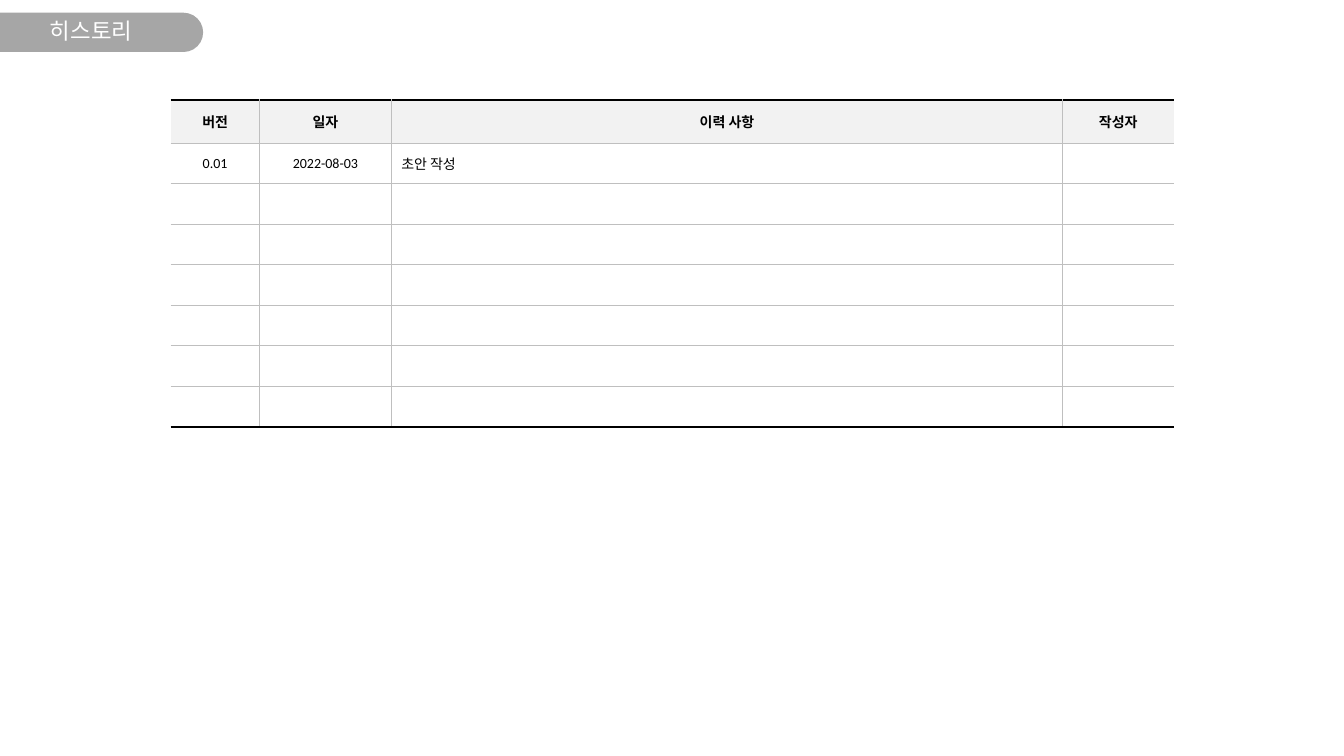
from lxml import etree
from pptx import Presentation
from pptx.dml.color import RGBColor
from pptx.enum.shapes import MSO_SHAPE
from pptx.enum.text import MSO_ANCHOR, PP_ALIGN
from pptx.oxml.ns import qn
from pptx.util import Cm, Pt

TAB_SHAPE = MSO_SHAPE.ROUND_2_SAME_RECTANGLE
MIDDLE = MSO_ANCHOR.MIDDLE
LEFT, CENTER = PP_ALIGN.LEFT, PP_ALIGN.CENTER

COLORS = {
    "tab": "A6A6A6",
    "title": "FFFFFF",
    "text": "000000",
    "header": "F2F2F2",
    "grid": "BFBFBF",
    "frame": "000000",
}
FONT = "Calibri"
HEADERS = ["버전", "일자", "이력 사항", "작성자"]
ENTRIES = [["0.01", "2022-08-03", "초안 작성", ""]]
COLUMN_WIDTHS = [2.24, 3.32, 16.92, 2.8]
HEADER_HEIGHT, ENTRY_HEIGHT = 1.09, 1.02
ROW_COUNT = 8


def write(frame, text, size=10, color="text", bold=False, align=CENTER):
    """Fill the frame's first paragraph; an empty one still keeps its size."""
    paragraph = frame.paragraphs[0]
    paragraph.alignment = align
    if not text:
        etree.SubElement(paragraph._p, qn("a:endParaRPr"), sz=str(size * 100))
        return
    run = paragraph.add_run()
    run.text = text
    run.font.name = FONT
    run.font.size = Pt(size)
    run.font.bold = bold
    run.font.color.rgb = RGBColor.from_string(COLORS[color])


def set_border(cell, side, color=None, width=1):
    """Draw one cell edge (L, R, T or B); without a colour it is hidden."""
    line = etree.SubElement(cell._tc.get_or_add_tcPr(), qn(f"a:ln{side}"), w=str(Pt(width)))
    if color is None:
        etree.SubElement(line, qn("a:noFill"))
    else:
        fill = etree.SubElement(line, qn("a:solidFill"))
        etree.SubElement(fill, qn("a:srgbClr"), val=COLORS[color])


prs = Presentation()
prs.slide_width, prs.slide_height = Cm(33.87), Cm(19.05)
slide = prs.slides.add_slide(prs.slide_layouts[5])

# Title tab, turned so that its round end faces right
tab = slide.shapes.add_shape(TAB_SHAPE, Cm(2.06), Cm(-1.75), Cm(0.99), Cm(5.13))
tab.rotation = 270
tab.adjustments[0], tab.adjustments[1] = 0, 0.5
tab.shadow.inherit = False
tab.fill.solid()
tab.fill.fore_color.rgb = RGBColor.from_string(COLORS["tab"])
tab.line.fill.background()

title = slide.shapes.title
title.left, title.top, title.width, title.height = Cm(-0.03), Cm(0.33), Cm(4.65), Cm(0.99)
title.text_frame.vertical_anchor = MIDDLE
title.text_frame.paragraphs[0].line_spacing = 0.9
write(title.text_frame, "히스토리", size=16, color="title")
tab._element.addnext(title._element)

# Revision history
history = slide.shapes.add_table(
    ROW_COUNT, len(HEADERS), Cm(4.3), Cm(2.52), Cm(sum(COLUMN_WIDTHS)),
    Cm(HEADER_HEIGHT + ENTRY_HEIGHT * (ROW_COUNT - 1))).table
history.horz_banding = False
for column, width in zip(history.columns, COLUMN_WIDTHS):
    column.width = Cm(width)

blank_rows = [[""] * len(HEADERS)] * (ROW_COUNT - 1 - len(ENTRIES))
last_row, last_column = ROW_COUNT - 1, len(HEADERS) - 1
for r, texts in enumerate([HEADERS] + ENTRIES + blank_rows):
    is_header = r == 0
    history.rows[r].height = Cm(HEADER_HEIGHT if is_header else ENTRY_HEIGHT)
    for c, text in enumerate(texts):
        cell = history.cell(r, c)
        cell.vertical_anchor = MIDDLE
        is_note = c == 2 and not is_header
        write(cell.text_frame, text, bold=is_header, align=LEFT if is_note else CENTER)
        set_border(cell, "L", "grid" if c > 0 else None)
        set_border(cell, "R", "grid" if c < last_column else None)
        for side, is_outer in (("T", is_header), ("B", r == last_row)):
            set_border(cell, side, "frame" if is_outer else "grid", 1.5 if is_outer else 1)
        if is_header:
            cell.fill.solid()
            cell.fill.fore_color.rgb = RGBColor.from_string(COLORS["header"])
        else:
            cell.fill.background()

prs.save("out.pptx")
